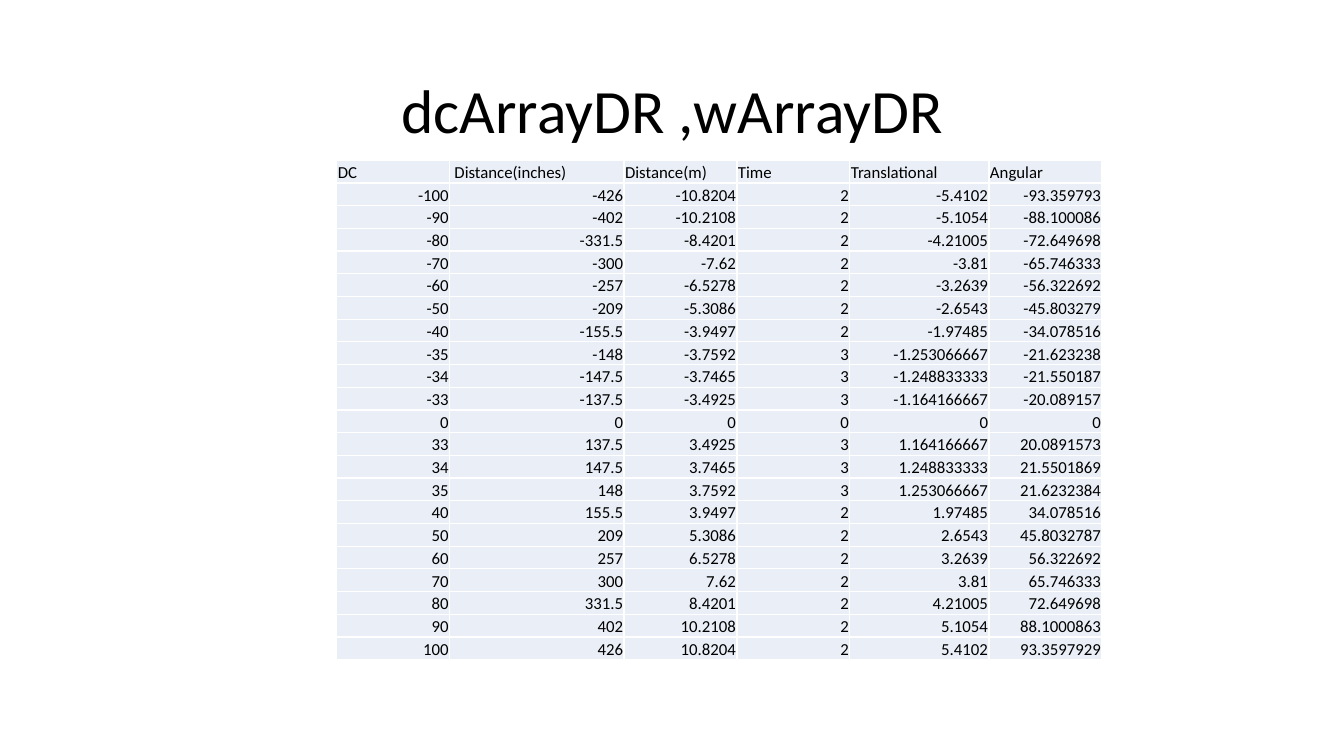
from lxml import etree
from pptx import Presentation, util as u
from pptx.dml import color
from pptx.enum import text
from pptx.oxml import ns

TITLE = "dcArrayDR ,wArrayDR"
HEADERS = ["DC", " Distance(inches)", "Distance(m)", "Time", "Translational", "Angular"]
READINGS = [
    ("-100", "-426", "-10.8204", "2", "-5.4102", "-93.359793"),
    ("-90", "-402", "-10.2108", "2", "-5.1054", "-88.100086"),
    ("-80", "-331.5", "-8.4201", "2", "-4.21005", "-72.649698"),
    ("-70", "-300", "-7.62", "2", "-3.81", "-65.746333"),
    ("-60", "-257", "-6.5278", "2", "-3.2639", "-56.322692"),
    ("-50", "-209", "-5.3086", "2", "-2.6543", "-45.803279"),
    ("-40", "-155.5", "-3.9497", "2", "-1.97485", "-34.078516"),
    ("-35", "-148", "-3.7592", "3", "-1.253066667", "-21.623238"),
    ("-34", "-147.5", "-3.7465", "3", "-1.248833333", "-21.550187"),
    ("-33", "-137.5", "-3.4925", "3", "-1.164166667", "-20.089157"),
    ("0", "0", "0", "0", "0", "0"),
    ("33", "137.5", "3.4925", "3", "1.164166667", "20.0891573"),
    ("34", "147.5", "3.7465", "3", "1.248833333", "21.5501869"),
    ("35", "148", "3.7592", "3", "1.253066667", "21.6232384"),
    ("40", "155.5", "3.9497", "2", "1.97485", "34.078516"),
    ("50", "209", "5.3086", "2", "2.6543", "45.8032787"),
    ("60", "257", "6.5278", "2", "3.2639", "56.322692"),
    ("70", "300", "7.62", "2", "3.81", "65.746333"),
    ("80", "331.5", "8.4201", "2", "4.21005", "72.649698"),
    ("90", "402", "10.2108", "2", "5.1054", "88.1000863"),
    ("100", "426", "10.8204", "2", "5.4102", "93.3597929"),
]
COLUMN_WIDTHS = [1.12, 1.73, 1.12, 1.12, 1.38, 1.12]
TABLE_HEIGHT = 4.96
FONT, INK, CELL_FILL, BORDER = "Calibri", "000000", "EAEFF7", "FFFFFF"


def paint(target, value):
    target.rgb = color.RGBColor.from_string(value)


def write(frame, words, size, align):
    para = frame.paragraphs[0]
    para.alignment = align
    span = para.add_run()
    span.text = words
    span.font.name = FONT
    span.font.size = u.Pt(size)
    paint(span.font.color, INK)
    return para


def add_borders(cell):
    properties = cell._tc.get_or_add_tcPr()
    for position, side in enumerate(("lnL", "lnR", "lnT", "lnB")):
        line = etree.Element(ns.qn(f"a:{side}"), w=str(u.Pt(1)))
        fill = etree.SubElement(line, ns.qn("a:solidFill"))
        etree.SubElement(fill, ns.qn("a:srgbClr"), val=BORDER)
        properties.insert(position, line)


deck = Presentation()
deck.slide_width, deck.slide_height = u.Inches(13.33), u.Inches(7.5)
page = deck.slides.add_slide(deck.slide_layouts[6])

box = page.shapes.add_textbox(u.Inches(0.92), u.Inches(0.4), u.Inches(11.5), u.Inches(1.45))
box.text_frame.word_wrap = True
box.text_frame.vertical_anchor = text.MSO_ANCHOR.MIDDLE
write(box.text_frame, TITLE, 44, text.PP_ALIGN.CENTER).line_spacing = 0.9

rows = [HEADERS, *READINGS]
table = page.shapes.add_table(
    len(rows), len(HEADERS), u.Inches(3.34), u.Inches(1.59),
    u.Inches(sum(COLUMN_WIDTHS)), u.Inches(TABLE_HEIGHT)).table
table.first_row = table.horz_banding = False
for column, width in zip(table.columns, COLUMN_WIDTHS):
    column.width = u.Inches(width)
for row_index, row in enumerate(rows):
    table.rows[row_index].height = u.Inches(TABLE_HEIGHT / len(rows))
    align = text.PP_ALIGN.RIGHT if row_index else text.PP_ALIGN.LEFT
    for column_index, words in enumerate(row):
        cell = table.cell(row_index, column_index)
        cell.margin_left = cell.margin_right = cell.margin_top = u.Inches(0.01)
        cell.margin_bottom = 0
        cell.vertical_anchor = text.MSO_ANCHOR.BOTTOM
        cell.fill.solid()
        paint(cell.fill.fore_color, CELL_FILL)
        add_borders(cell)
        write(cell.text_frame, words, 12, align)

deck.save("out.pptx")
